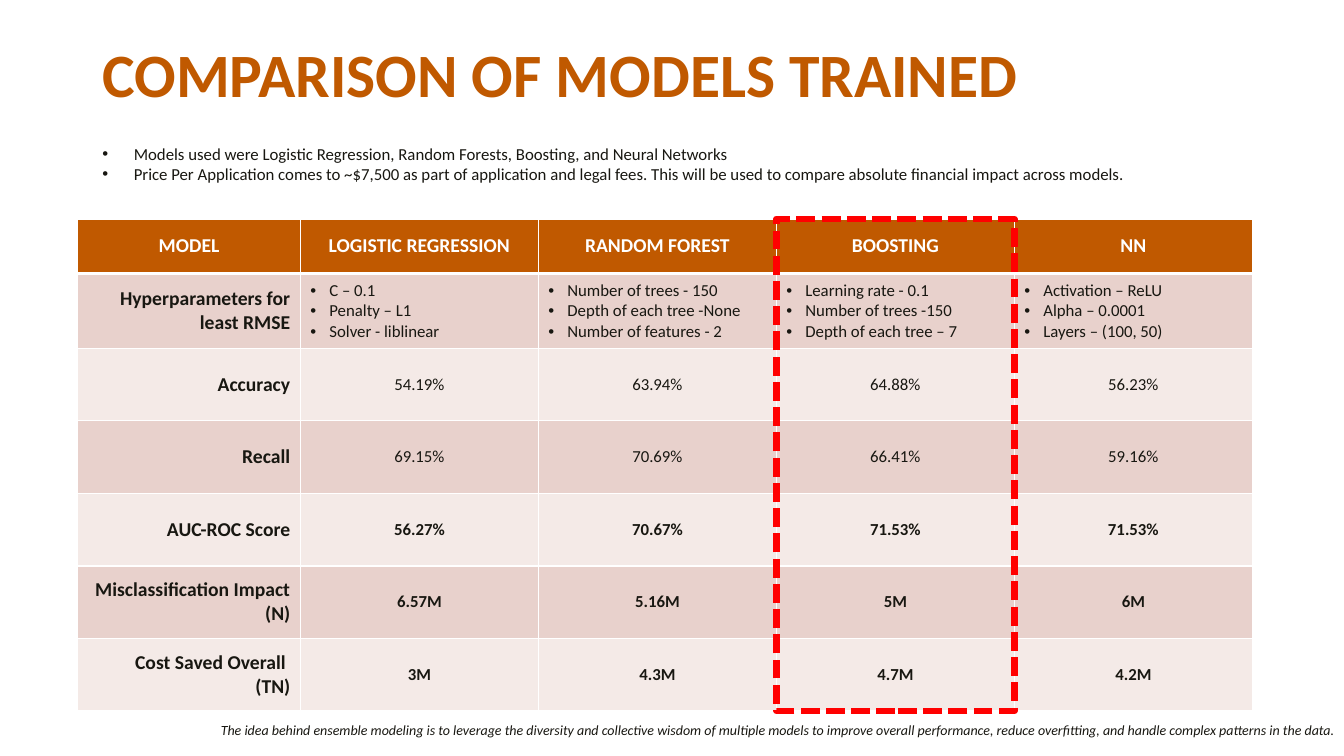
"""Build the slide that compares the trained models."""
from dataclasses import dataclass

from lxml.etree import SubElement
from pptx import Presentation
from pptx.dml.color import RGBColor
from pptx.enum.dml import MSO_LINE
from pptx.enum.shapes import MSO_SHAPE
from pptx.enum.text import MSO_ANCHOR, PP_ALIGN
from pptx.oxml.ns import qn
from pptx.util import Pt


@dataclass(frozen=True)
class Theme:
    """Hold the colours, font and type sizes."""
    font: str = "Calibri"
    rust: str = "C05900"
    ink: str = "181711"
    white: str = "FFFFFF"
    red: str = "FF0000"
    bands: tuple = ("E8D1CC", "F4EAE7")
    title: int = 44
    head: int = 14
    body: int = 12
    note: int = 10


def write(frame, text, size, color, font, bold=False, italic=False,
          align=PP_ALIGN.LEFT, indent=0, spacing=None):
    """Fill a text frame, one paragraph per line, bulleted if indented."""
    frame.word_wrap = True
    for num, line in enumerate(text.split("\n")):
        para = frame.add_paragraph() if num else frame.paragraphs[0]
        para.alignment = align
        if spacing:
            para.line_spacing = spacing
        if indent:
            props = para._p.get_or_add_pPr()
            props.set("marL", str(Pt(indent)))
            props.set("indent", str(-Pt(indent)))
            SubElement(props, qn("a:buFont"), typeface="Arial")
            SubElement(props, qn("a:buChar"), char="•")
        run = para.add_run()
        run.text = line
        run.font.name = font
        run.font.size = Pt(size)
        run.font.bold = bold
        run.font.italic = italic
        run.font.color.rgb = RGBColor.from_string(color)


class Board:
    """Draw styled elements on the current slide."""

    def __init__(self, slide, theme):
        self.slide = slide
        self.theme = theme

    def text(self, box, text, size, color, **style):
        """Add a text box."""
        shape = self.slide.shapes.add_textbox(*map(Pt, box))
        write(shape.text_frame, text, size, color, self.theme.font, **style)

    def edge(self, cell, side, width):
        """Draw one white cell border."""
        line = SubElement(cell._tc.get_or_add_tcPr(), qn(f"a:ln{side}"),
                          w=str(Pt(width)))
        fill = SubElement(line, qn("a:solidFill"))
        SubElement(fill, qn("a:srgbClr"), val=self.theme.white)

    def cell(self, cell, text, row, col):
        """Style and fill one table cell by its place in the grid."""
        look = self.theme
        for side in "LRTB":
            thick = (row, side) in ((0, "B"), (1, "T"))
            self.edge(cell, side, 3 if thick else 1)
        cell.fill.solid()
        fill = look.bands[(row - 1) % 2] if row else look.rust
        cell.fill.fore_color.rgb = RGBColor.from_string(fill)
        cell.vertical_anchor = MSO_ANCHOR.MIDDLE
        label = row == 0 or col == 0
        listed = row == 1 and col > 0
        align = PP_ALIGN.CENTER
        if listed:
            align = PP_ALIGN.LEFT
        elif row and col == 0:
            align = PP_ALIGN.RIGHT
        write(cell.text_frame, text, look.head if label else look.body,
              look.ink if row else look.white, look.font,
              bold=label or row >= 4, align=align,
              indent=13.5 if listed else 0)

    def table(self, left, top, wide, high, rows):
        """Add the table with the given column widths and row heights."""
        grid = self.slide.shapes.add_table(
            len(high), len(wide), Pt(left), Pt(top),
            Pt(sum(wide)), Pt(sum(high))).table
        for col, width in zip(grid.columns, wide):
            col.width = Pt(width)
        for row, height in zip(grid.rows, high):
            row.height = Pt(height)
        for y, row in enumerate(rows):
            for x, text in enumerate(row):
                self.cell(grid.cell(y, x), text, y, x)

    def frame(self, box):
        """Add a dashed frame without fill."""
        shape = self.slide.shapes.add_shape(MSO_SHAPE.RECTANGLE, *map(Pt, box))
        shape.shadow.inherit = False
        shape.fill.background()
        shape.line.color.rgb = RGBColor.from_string(self.theme.red)
        shape.line.width = Pt(4.5)
        shape.line.dash_style = MSO_LINE.SQUARE_DOT


MODELS = (
    ("MODEL", "LOGISTIC REGRESSION", "RANDOM FOREST", "BOOSTING", "NN"),
    ("Hyperparameters for least RMSE",
     "C – 0.1\nPenalty – L1\nSolver - liblinear",
     "Number of trees - 150\nDepth of each tree -None\nNumber of features - 2",
     "Learning rate - 0.1\nNumber of trees -150\nDepth of each tree – 7",
     "Activation – ReLU\nAlpha – 0.0001\nLayers – (100, 50)"),
    ("Accuracy", "54.19%", "63.94%", "64.88%", "56.23%"),
    ("Recall", "69.15%", "70.69%", "66.41%", "59.16%"),
    ("AUC-ROC Score", "56.27%", "70.67%", "71.53%", "71.53%"),
    ("Misclassification Impact (N)", "6.57M", "5.16M", "5M", "6M"),
    ("Cost Saved Overall \n(TN)", "3M", "4.3M", "4.7M", "4.2M"),
)
POINTS = (
    "Models used were Logistic Regression, Random Forests, Boosting, "
    "and Neural Networks\n"
    "Price Per Application comes to ~$7,500 as part of application and legal "
    "fees. This will be used to compare absolute financial impact across models."
)
NOTE = (
    "The idea behind ensemble modeling is to leverage the diversity and "
    "collective wisdom of multiple models to improve overall performance, "
    "reduce overfitting, and handle complex patterns in the data."
)


def main():
    """Compose and save the slide."""
    deck = Presentation()
    deck.slide_width, deck.slide_height = Pt(960), Pt(540)
    look = Theme()
    board = Board(deck.slides.add_slide(deck.slide_layouts[6]), look)
    board.text((66, 28, 828, 82), "COMPARISON OF MODELS TRAINED",
               look.title, look.rust, bold=True, spacing=0.9)
    board.text((66, 98.8, 828, 36), POINTS, look.body, look.ink, indent=22.5)
    board.text((112.5, 512, 847.5, 19.4), NOTE, look.note, look.ink,
               italic=True, align=PP_ALIGN.RIGHT)
    left, top = 55.6, 156.4
    wide = [159] + [170] * 4
    high = [39, 53.5] + [51.8] * 5
    board.table(left, top, wide, high, MODELS)
    best = MODELS[0].index("BOOSTING")
    board.frame((left + sum(wide[:best]), top, wide[best], sum(high)))
    deck.save("out.pptx")


if __name__ == "__main__":
    main()
